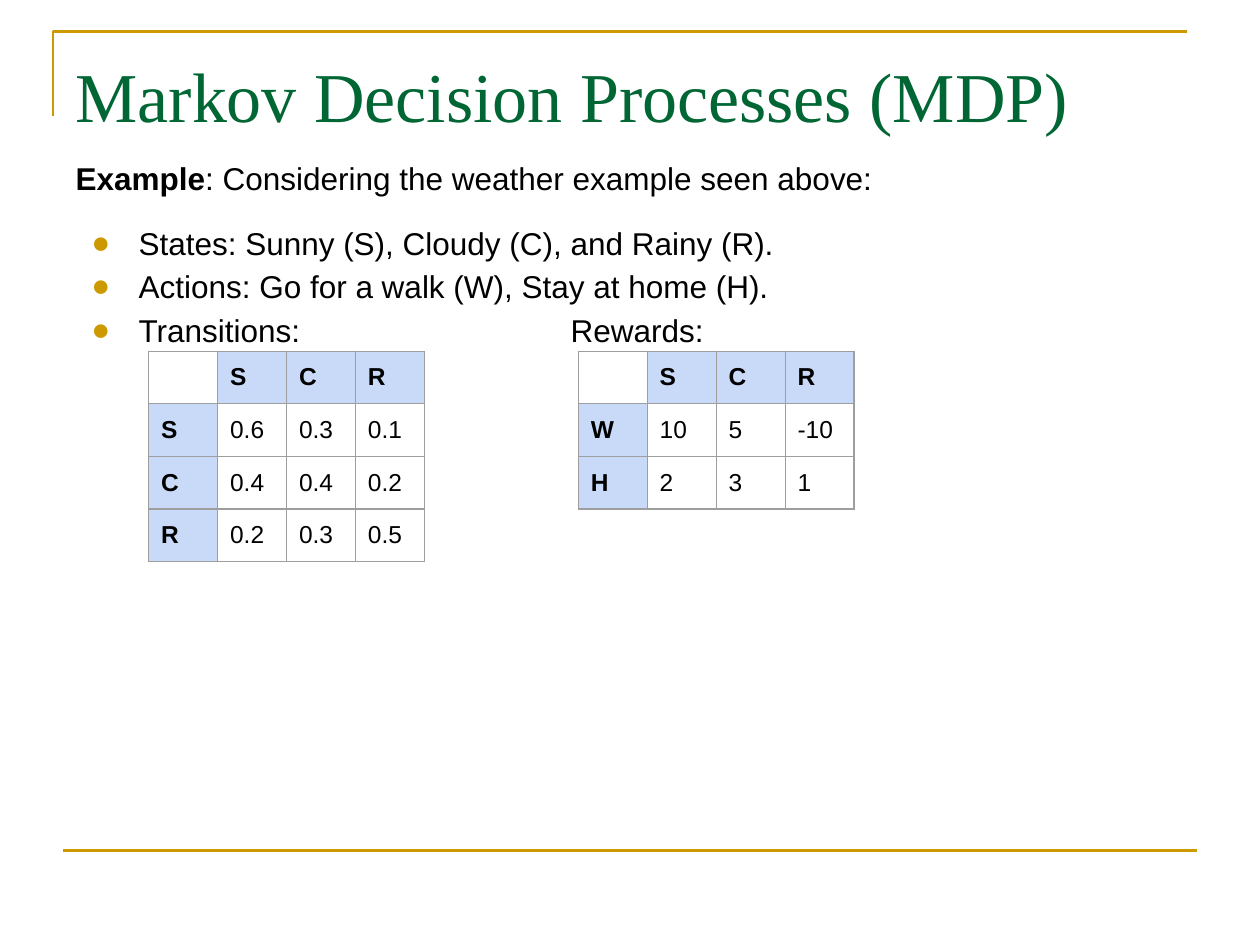
from lxml import etree
from pptx import Presentation
from pptx.dml.color import RGBColor
from pptx.enum.shapes import MSO_CONNECTOR
from pptx.enum.text import MSO_ANCHOR, MSO_AUTO_SIZE, PP_ALIGN
from pptx.oxml.ns import qn
from pptx.util import Cm, Pt

LINE = MSO_CONNECTOR.STRAIGHT
TOP = MSO_ANCHOR.TOP
FIXED = MSO_AUTO_SIZE.NONE
LEFT = PP_ALIGN.LEFT

GOLD = RGBColor(0xCC, 0x99, 0x00)
GREEN = RGBColor(0x00, 0x66, 0x33)
BLACK = RGBColor(0, 0, 0)
BLUE = RGBColor(0xC9, 0xDA, 0xF8)
GRAY = RGBColor(0x9E, 0x9E, 0x9E)

TITLE = "Markov Decision Processes (MDP)"
LEAD = ("Example", ": Considering the weather example seen above:")
ITEMS = [
    "States: Sunny (S), Cloudy (C), and Rainy (R).",
    "Actions: Go for a walk (W), Stay at home (H).",
    "Transitions:\tRewards:",
]
MOVES = [
    ("", "S", "C", "R"),
    ("S", "0.6", "0.3", "0.1"),
    ("C", "0.4", "0.4", "0.2"),
    ("R", "0.2", "0.3", "0.5"),
]
GAINS = [
    ("", "S", "C", "R"),
    ("W", "10", "5", "-10"),
    ("H", "2", "3", "1"),
]
TABLES = [(3.0, MOVES), (11.66, GAINS)]
TABLE_TOP = 7.08
CELL_W, CELL_H = 1.39, 1.06
TAB = 9.98


def add(node, tag, **attrs):
    return etree.SubElement(node, qn(tag), attrs)


def style(run, name, size, color, bold=False):
    font = run.font
    font.name, font.size, font.bold = name, Pt(size), bold
    font.color.rgb = color


def place(shape, x, y, w, h):
    shape.left, shape.top = Cm(x), Cm(y)
    shape.width, shape.height = Cm(w), Cm(h)
    frame = shape.text_frame
    frame.auto_size = FIXED
    frame.vertical_anchor = TOP
    frame.word_wrap = True
    return frame


def set_par(par, mark, before):
    props = par._p.get_or_add_pPr()
    props.set("marL", str(Cm(1.27) if mark else 0))
    props.set("indent", str(Cm(-0.95) if mark else 0))
    if mark:
        add(add(props, "a:buClr"), "a:srgbClr", val=str(GOLD))
        add(props, "a:buFont", typeface="Arial")
        add(props, "a:buChar", char="●")
        if "\t" in par.text:
            add(add(props, "a:tabLst"), "a:tab", pos=str(Cm(TAB)), algn="l")
    else:
        add(props, "a:buNone")
    par.alignment = LEFT
    par.line_spacing = 1.15
    par.space_before = Pt(before)


def add_rules(slide):
    pen = slide.shapes.build_freeform(Cm(1.07), Cm(2.33))
    pen.add_line_segments(
        [(Cm(1.07), Cm(0.64)), (Cm(23.93), Cm(0.64))], close=False)
    frame = pen.convert_to_shape()
    frame.fill.background()
    frame.shadow.inherit = False
    base = slide.shapes.add_connector(
        LINE, Cm(1.27), Cm(17.15), Cm(24.13), Cm(17.15))
    add(base._element.spPr, "a:effectLst")
    for rule in (frame, base):
        rule.line.color.rgb = GOLD
        rule.line.width = Pt(1.5)


def add_grid(slide, x, rows):
    count = len(rows[0])
    table = slide.shapes.add_table(
        len(rows), count, Cm(x), Cm(TABLE_TOP),
        Cm(CELL_W * count), Cm(CELL_H * len(rows))).table
    table.first_row = table.horz_banding = False
    for col in table.columns:
        col.width = Cm(CELL_W)
    for i, row in enumerate(rows):
        table.rows[i].height = Cm(CELL_H)
        for j, text in enumerate(row):
            fill_cell(table.cell(i, j), text, i == 0 or j == 0)


def fill_cell(cell, text, head):
    props = cell._tc.get_or_add_tcPr()
    for side in ("a:lnL", "a:lnR", "a:lnT", "a:lnB"):
        line = add(props, side, w=str(Pt(0.75)))
        add(add(line, "a:solidFill"), "a:srgbClr", val=str(GRAY))
    if not text:
        cell.fill.background()
        return
    cell.text = text
    cell.margin_left = cell.margin_right = Cm(0.25)
    cell.margin_top = cell.margin_bottom = Cm(0.25)
    style(cell.text_frame.paragraphs[0].runs[0], "Arial", 14, BLACK, head)
    if head:
        cell.fill.solid()
        cell.fill.fore_color.rgb = BLUE
    else:
        cell.fill.background()


def main():
    deck = Presentation()
    deck.slide_width, deck.slide_height = Cm(25.4), Cm(19.05)
    slide = deck.slides.add_slide(deck.slide_layouts[1])
    add_rules(slide)

    title = place(slide.shapes.title, 1.27, 0.93, 22.86, 3.0)
    title.text = TITLE
    title.paragraphs[0].alignment = LEFT
    style(title.paragraphs[0].runs[0], "Times New Roman", 40, GREEN)

    body = place(slide.placeholders[1], 1.27, 2.97, 22.86, 14.07)
    lead = body.paragraphs[0]
    set_par(lead, False, 0)
    for text, bold in zip(LEAD, (True, False)):
        run = lead.add_run()
        run.text = text
        style(run, "Arial", 18, BLACK, bold)
    for i, text in enumerate(ITEMS):
        par = body.add_paragraph()
        par.text = text
        set_par(par, True, 0 if i else 12)
        for run in par.runs:
            style(run, "Arial", 18, BLACK)

    for x, rows in TABLES:
        add_grid(slide, x, rows)
    deck.save("out.pptx")


if __name__ == "__main__":
    main()
